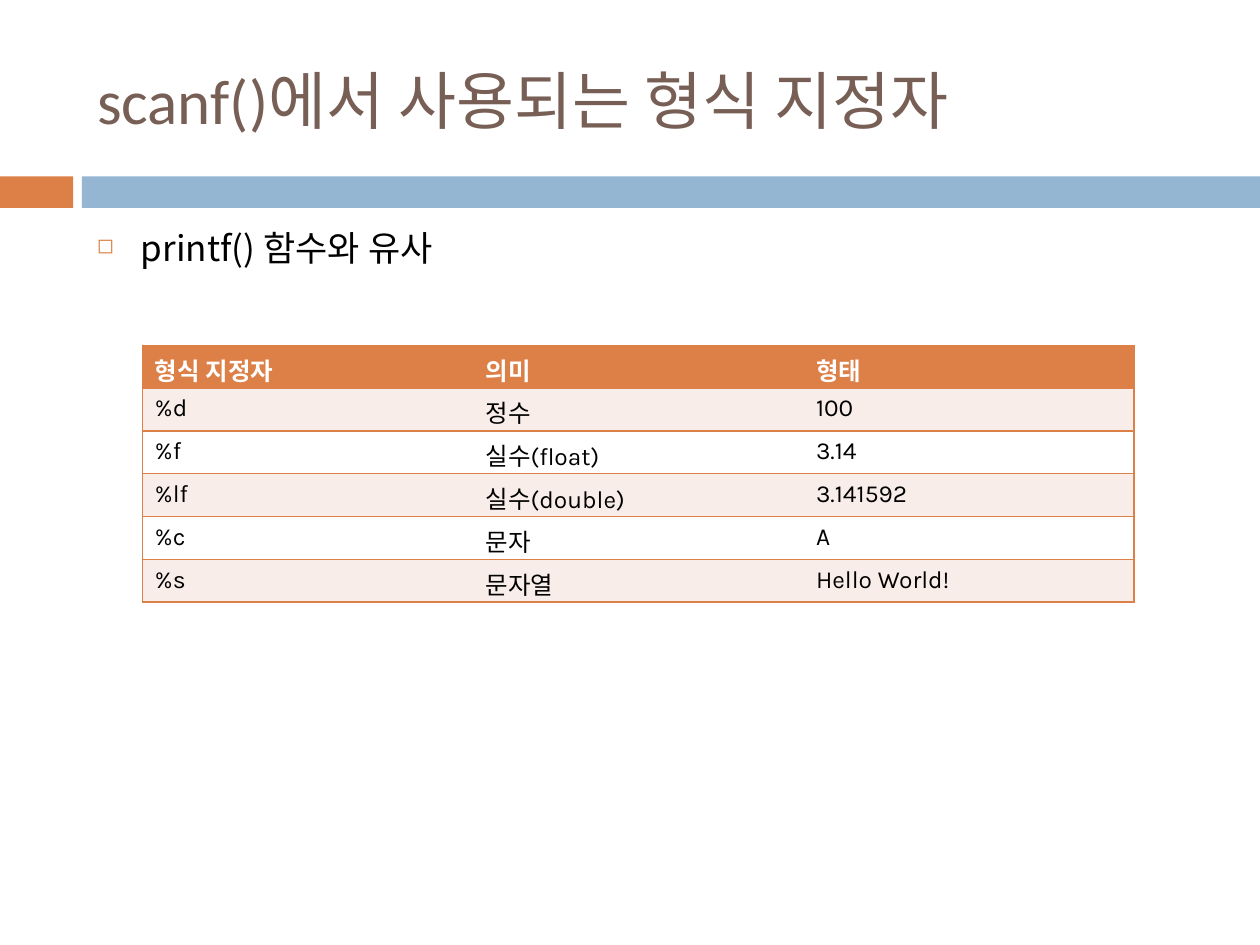
from pptx import Presentation
from pptx.dml.color import RGBColor
from pptx.enum.shapes import MSO_SHAPE
from pptx.enum.text import MSO_ANCHOR, PP_ALIGN
from pptx.oxml.ns import qn
from pptx.util import Inches, Pt
from lxml.etree import SubElement

ORANGE, BLUE, BROWN = "DD8047", "94B6D2", "775F55"
BLACK, WHITE, PINK = "000000", "FFFFFF", "F9EDE9"
KOREAN = "Noto Sans CJK KR"


def rgb(color):
    return RGBColor.from_string(color)


def add_run(p, text, size, font, color, bold=False):
    r = p.add_run()
    r.text = text
    r.font.size, r.font.name, r.font.bold = Pt(size), font, bold
    r.font.color.rgb = rgb(color)
    r.font._element.find(qn("a:latin")).addnext(
        r.font._element.makeelement(qn("a:ea"), typeface=KOREAN))


prs = Presentation()
prs.slide_width, prs.slide_height = Inches(10), Inches(7.5)
s = prs.slides.add_slide(prs.slide_layouts[5])
left, width = Inches(0.67), Inches(8.92)

# Band under the title
for x, w, color in [(0, 0.58, ORANGE), (0.65, 9.35, BLUE)]:
    sp = s.shapes.add_shape(MSO_SHAPE.RECTANGLE, Inches(x), Inches(1.4),
                            Inches(w), Inches(0.25))
    sp.shadow.inherit = False
    sp.fill.solid()
    sp.fill.fore_color.rgb = rgb(color)
    sp.line.fill.background()

# Title
title = s.shapes.title
title.left, title.top, title.width, title.height = left, Inches(0.25), width, Inches(1.08)
tf = title.text_frame
tf.vertical_anchor = MSO_ANCHOR.MIDDLE
p = tf.paragraphs[0]
p.alignment = PP_ALIGN.LEFT
add_run(p, "scanf()에서 사용되는 형식 지정자", 36, "Calibri", BROWN)

# Bullet text
tf = s.shapes.add_textbox(left, Inches(1.75), width, Inches(4.92)).text_frame
tf.word_wrap = True
p = tf.paragraphs[0]
p.space_before = Pt(7)
pPr = p._p.get_or_add_pPr()
pPr.set("marL", str(Inches(0.35)))
pPr.set("indent", str(-Inches(0.35)))
SubElement(SubElement(pPr, qn("a:buClr")), qn("a:srgbClr"), val=ORANGE)
SubElement(pPr, qn("a:buSzPct"), val="60000")
SubElement(pPr, qn("a:buChar"), char="◻")
add_run(p, "printf() 함수와 유사", 20, KOREAN, BLACK)

# Table of format specifiers
rows = [
    ("형식 지정자", "의미", "형태"),
    ("%d", "정수", "100"),
    ("%f", "실수(float)", "3.14"),
    ("%lf", "실수(double)", "3.141592"),
    ("%c", "문자", "A"),
    ("%s", "문자열", "Hello World!"),
]
n_cols = len(rows[0])
table = s.shapes.add_table(len(rows), n_cols, Inches(1.13), Inches(2.74),
                           Inches(7.87), Inches(0.34 * len(rows))).table
for i, row in enumerate(rows):
    header = i == 0
    fill = ORANGE if header else PINK if i % 2 else WHITE
    for j, text in enumerate(row):
        cell = table.cell(i, j)
        add_run(cell.text_frame.paragraphs[0], text, 14, "Karla",
                WHITE if header else BLACK, header)
        # Outer frame and row rules only, no inner verticals
        visible = {"L": j == 0, "R": j == n_cols - 1, "T": True, "B": True}
        tcPr = cell._tc.get_or_add_tcPr()
        for side, shown in visible.items():
            ln = SubElement(tcPr, qn(f"a:ln{side}"), w=str(Pt(1)))
            if shown:
                SubElement(SubElement(ln, qn("a:solidFill")), qn("a:srgbClr"), val=ORANGE)
            else:
                SubElement(ln, qn("a:noFill"))
        cell.fill.solid()
        cell.fill.fore_color.rgb = rgb(fill)

prs.save("out.pptx")
